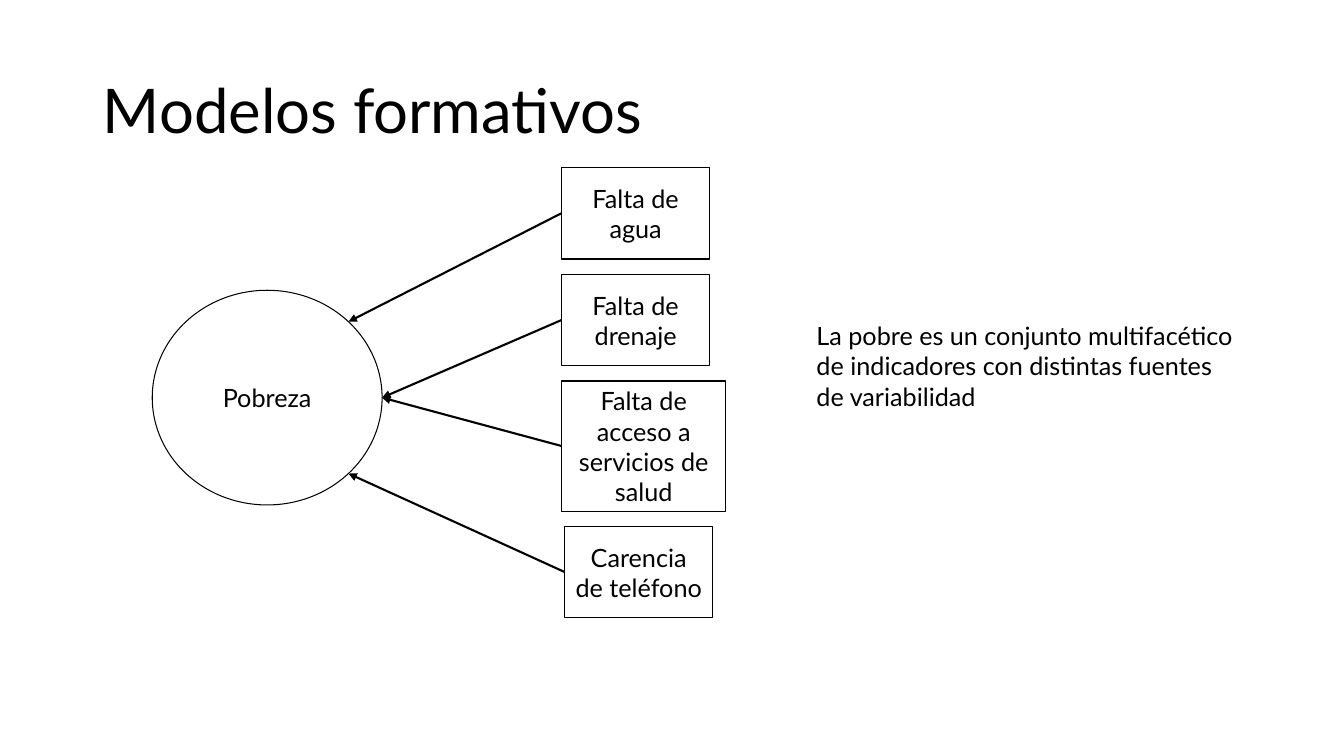
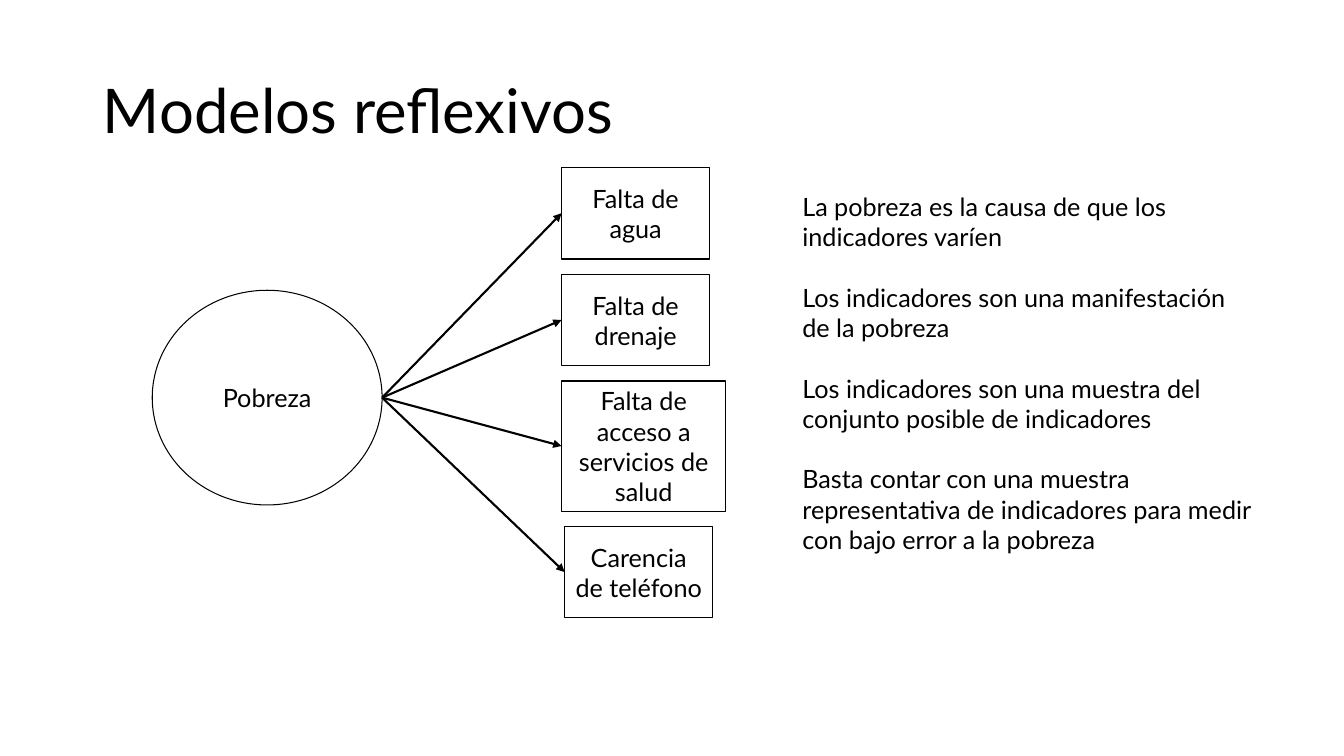
from math import cos, radians, sin

from lxml import etree
from pptx import Presentation
from pptx.dml.color import RGBColor
from pptx.enum.shapes import MSO_CONNECTOR, MSO_SHAPE
from pptx.enum.text import MSO_ANCHOR, MSO_AUTO_SIZE, PP_ALIGN
from pptx.oxml.ns import qn
from pptx.util import Inches, Pt

BLACK = RGBColor(0x00, 0x00, 0x00)
FONT = "Lato"
LEFT_SITE = 1  # connection site on the left side of a rectangle

# Circle: left, top, width, height
CIRCLE = (1.51, 2.88, 2.28, 2.13)

# Indicators: text, left, width, height; stacked with equal gaps
TOP, GAP = 1.66, 0.15
CAUSES = [
    ("Falta de agua", 5.57, 1.47, 0.91),
    ("Falta de drenaje", 5.57, 1.47, 0.91),
    ("Falta de acceso a servicios de salud", 5.57, 1.63, 1.29),
    ("Carencia de teléfono", 5.6, 1.47, 0.91),
]

# Slides: title, arrows point to circle, angles on the circle, note place, note
SLIDES = [
    ("Modelos formativos", True, (-45, 0, 0, 45), (8, 3.13, 4.33, 1.01), [
        "La pobre es un conjunto multifacético de indicadores con distintas "
        "fuentes de variabilidad",
    ]),
    ("Modelos reflexivos", False, (0, 0, 0, 0), (7.86, 1.85, 4.67, 3.74), [
        "La pobreza es la causa de que los indicadores varíen",
        "Los indicadores son una manifestación de la pobreza",
        "Los indicadores son una muestra del conjunto posible de indicadores",
        "Basta contar con una muestra representativa de indicadores para "
        "medir con bajo error a la pobreza",
    ]),
]


def style(par, size, align):
    par.alignment = align
    par.font.name = FONT
    par.font.size = Pt(size)
    par.font.color.rgb = BLACK


def add_node(slide, kind, text, place):
    """Add an outlined shape with centred text."""
    node = slide.shapes.add_shape(kind, *map(Inches, place))
    node.shadow.inherit = False
    node.fill.background()
    node.line.color.rgb = BLACK
    node.line.width = Pt(0.75)
    frame = node.text_frame
    frame.word_wrap = True
    frame.vertical_anchor = MSO_ANCHOR.MIDDLE
    frame.text = text
    style(frame.paragraphs[0], 18, PP_ALIGN.CENTER)
    return node


prs = Presentation()
prs.slide_width, prs.slide_height = Inches(13.33), Inches(7.5)

for heading, inward, angles, place, notes in SLIDES:
    slide = prs.slides.add_slide(prs.slide_layouts[5])

    title = slide.shapes.title
    title.left, title.top = Inches(0.92), Inches(0.4)
    title.width, title.height = Inches(11.5), Inches(1.45)
    title.text_frame.vertical_anchor = MSO_ANCHOR.MIDDLE
    title.text_frame.text = heading
    par = title.text_frame.paragraphs[0]
    par.line_spacing = 0.9
    style(par, 44, PP_ALIGN.LEFT)

    add_node(slide, MSO_SHAPE.OVAL, "Pobreza", CIRCLE)
    left, top, wide, high = CIRCLE

    y = TOP
    for (text, x, width, height), angle in zip(CAUSES, angles):
        box = add_node(slide, MSO_SHAPE.RECTANGLE, text, (x, y, width, height))
        turn = radians(angle)
        rim = (Inches(left + wide / 2 * (1 + cos(turn))),
               Inches(top + high / 2 * (1 + sin(turn))))
        side = (Inches(x), Inches(y + height / 2))
        ends = side + rim if inward else rim + side
        arrow = slide.shapes.add_connector(MSO_CONNECTOR.STRAIGHT, *ends)
        if inward:
            arrow.begin_connect(box, LEFT_SITE)
        else:
            arrow.end_connect(box, LEFT_SITE)
        arrow.line.color.rgb = BLACK
        arrow.line.width = Pt(1.5)
        etree.SubElement(arrow.line._get_or_add_ln(), qn("a:tailEnd"), type="triangle")
        etree.SubElement(arrow._element.spPr, qn("a:effectLst"))
        y += height + GAP

    note = slide.shapes.add_textbox(*map(Inches, place)).text_frame
    note.word_wrap = True
    note.auto_size = MSO_AUTO_SIZE.SHAPE_TO_FIT_TEXT
    for i, text in enumerate(notes):
        par = note.add_paragraph() if i else note.paragraphs[0]
        par.text = text
        if i:
            par.space_before = Pt(21.6)
        style(par, 18, PP_ALIGN.LEFT)

prs.save("out.pptx")
